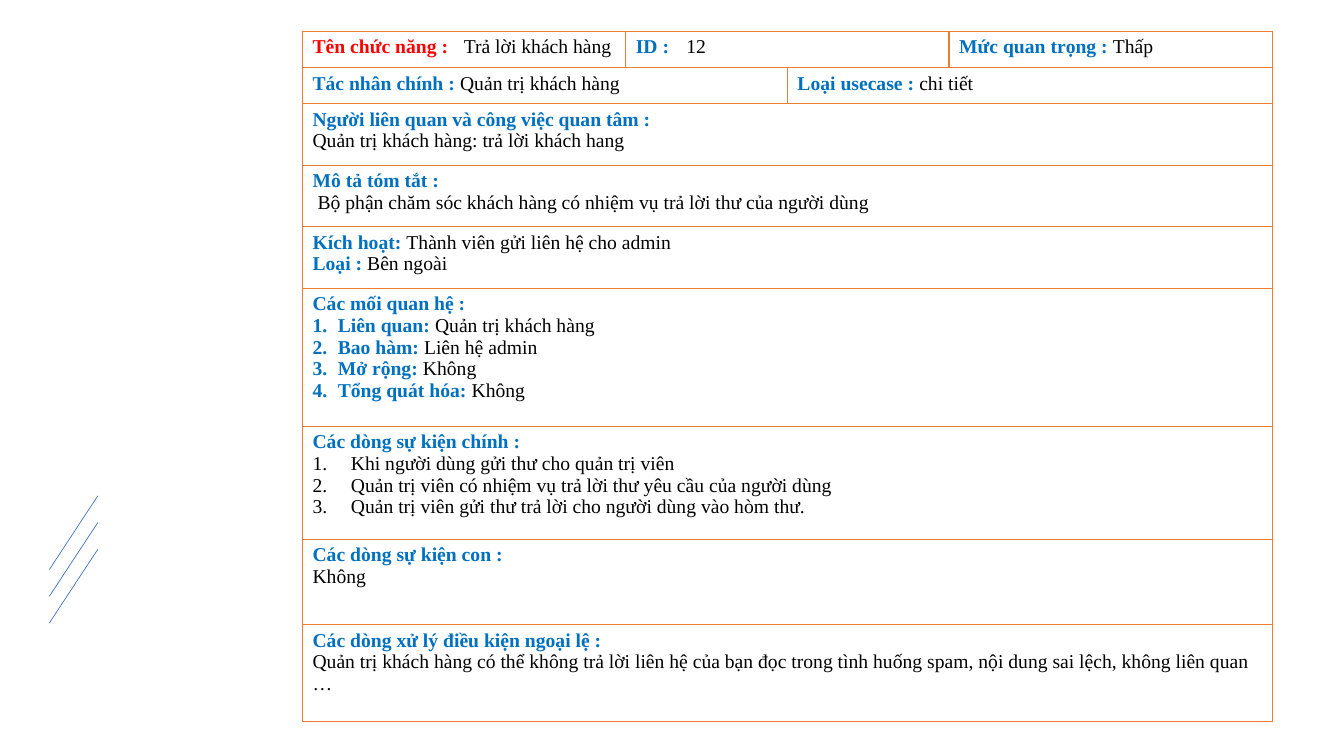
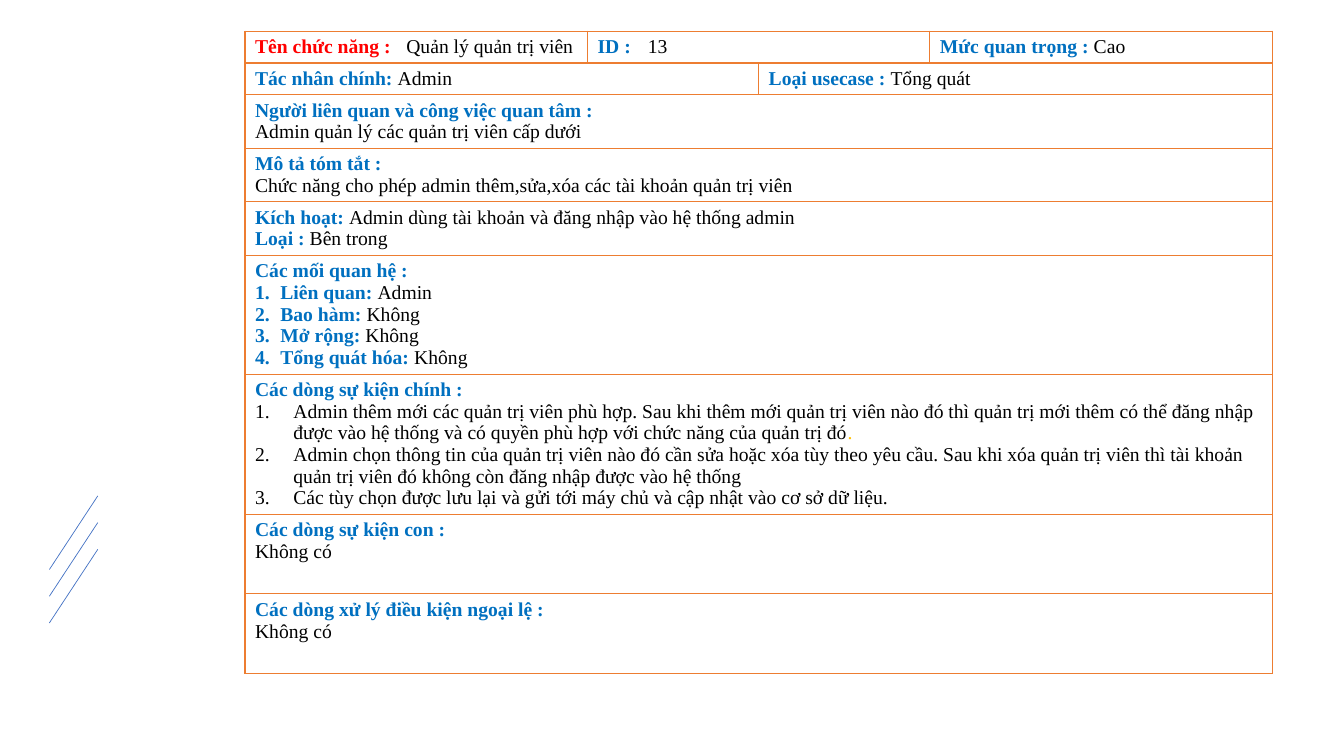
from dataclasses import dataclass

from pptx import Presentation
from pptx.dml.color import RGBColor
from pptx.enum.shapes import MSO_CONNECTOR
from pptx.oxml.ns import qn
from pptx.oxml.xmlchemy import OxmlElement
from pptx.util import Emu, Inches, Pt

STRAIGHT = MSO_CONNECTOR.STRAIGHT


@dataclass(frozen=True)
class Theme:
    title: RGBColor = RGBColor(0xFF, 0x00, 0x00)
    label: RGBColor = RGBColor(0x00, 0x70, 0xC0)
    body: RGBColor = RGBColor(0x00, 0x00, 0x00)
    amber: RGBColor = RGBColor(0xFF, 0xC0, 0x00)
    stripe: RGBColor = RGBColor(0x44, 0x72, 0xC4)
    border: RGBColor = RGBColor(0xED, 0x7D, 0x31)
    font: str = "Times New Roman"
    size: float = 14
    border_width: float = 1
    stripe_width: float = 0.5


THEME = Theme()
SLIDE_W, SLIDE_H = 13.33, 7.5
TABLE_TOP, TABLE_RIGHT = 0.31, 12.62
COLUMN_SHARES = (2, 1, 1, 2)
STRIPE_COUNT, STRIPE_GAP = 3, 0.265
RELATION_INDENT, STEP_INDENT = 0.25, 0.38
TITLE_TAB, ID_TAB = 1.5, 0.43


@dataclass(frozen=True)
class Run:
    text: str
    color: RGBColor = THEME.body
    bold: bool = False


@dataclass(frozen=True)
class Para:
    runs: tuple[Run, ...]
    number_indent: float = 0
    margin: float = 0
    tab: float = 0


@dataclass(frozen=True)
class Block:
    """Paragraphs in the table columns from first to last, inclusive."""
    paras: tuple[Para, ...]
    first: int = 0
    last: int = 3


@dataclass(frozen=True)
class UseCase:
    left: float
    row_heights: tuple[float, ...]
    name: str
    number: str
    priority: str
    actor_label: str
    actor: str
    kind: str
    interests: str
    summary: str
    trigger: str
    trigger_kind: str
    relations: tuple[str, ...]
    steps: tuple[tuple[Run, ...], ...]
    subflow: str
    exceptions: str
    summary_margin: float = 0


RELATION_LABELS = ("Liên quan: ", "Bao hàm: ", "Mở rộng: ", "Tổng quát hóa: ")

USE_CASES = (
    UseCase(
        left=3, row_heights=(0.36, 0.36, 0.61, 0.61, 0.61, 1.37, 1.12, 0.85, 0.96),
        name="Trả lời khách hàng", number="12", priority="Thấp",
        actor_label="Tác nhân chính : ", actor="Quản trị khách hàng", kind="chi tiết",
        interests="Quản trị khách hàng: trả lời khách hang",
        summary="Bộ phận chăm sóc khách hàng có nhiệm vụ trả lời thư của người dùng",
        summary_margin=0.05,
        trigger="Thành viên gửi liên hệ cho admin", trigger_kind="Bên ngoài",
        relations=("Quản trị khách hàng", "Liên hệ admin", "Không", "Không"),
        steps=(
            (Run("Khi người dùng gửi thư cho quản trị viên"),),
            (Run("Quản trị viên có nhiệm vụ trả lời thư yêu cầu của người dùng"),),
            (Run("Quản trị viên gửi thư trả lời cho người dùng vào hòm thư."),),
        ),
        subflow="Không",
        exceptions="Quản trị khách hàng có thể không trả lời liên hệ của bạn đọc trong "
                   "tình huống spam, nội dung sai lệch, không liên quan …",
    ),
    UseCase(
        left=2.43, row_heights=(0.31, 0.31, 0.53, 0.53, 0.53, 1.18, 1.39, 0.79, 0.79),
        name="Quản lý quản trị viên", number="13", priority="Cao",
        actor_label="Tác nhân chính: ", actor="Admin", kind="Tổng quát",
        interests="Admin quản lý các quản trị viên cấp dưới",
        summary="Chức năng cho phép admin thêm,sửa,xóa các tài khoản quản trị viên",
        trigger="Admin dùng tài khoản và đăng nhập vào hệ thống admin",
        trigger_kind="Bên trong",
        relations=("Admin", "Không", "Không", "Không"),
        steps=(
            (Run("Admin thêm mới các quản trị viên phù hợp. Sau khi thêm mới quản trị "
                 "viên nào đó thì quản trị mới thêm có thể đăng nhập được vào hệ thống "
                 "và có quyền phù hợp với chức năng của quản trị đó"),
             Run(".", THEME.amber)),
            (Run("Admin chọn thông tin của quản trị viên nào đó cần sửa hoặc xóa tùy "
                 "theo yêu cầu. Sau khi xóa quản trị viên thì tài khoản quản trị viên "
                 "đó không còn đăng nhập được vào hệ thống"),),
            (Run("Các tùy chọn được lưu lại và gửi tới máy chủ và cập nhật vào cơ sở "
                 "dữ liệu."),),
        ),
        subflow="Không có", exceptions="Không có",
    ),
)


def labelled(label: str, value: str, color: RGBColor = THEME.label,
             number_indent: float = 0, tab: float = 0) -> Para:
    return Para((Run(label, color, True), Run(value)), number_indent, tab=tab)


def section(heading: str, *paras: Para) -> tuple[Block, ...]:
    """A full-width row with a heading above its paragraphs."""
    return (Block((Para((Run(heading, THEME.label, True),)), *paras)),)


def table_rows(case: UseCase) -> list[tuple[Block, ...]]:
    relations = (labelled(label, value, number_indent=RELATION_INDENT)
                 for label, value in zip(RELATION_LABELS, case.relations))
    steps = (Para(runs, STEP_INDENT) for runs in case.steps)
    return [
        (Block((labelled("Tên chức năng :\t", case.name, THEME.title, tab=TITLE_TAB),), 0, 0),
         Block((labelled("ID :\t", case.number, tab=ID_TAB),), 1, 2),
         Block((labelled("Mức quan trọng : ", case.priority),), 3, 3)),
        (Block((labelled(case.actor_label, case.actor),), 0, 1),
         Block((labelled("Loại usecase : ", case.kind),), 2, 3)),
        section("Người liên quan và công việc quan tâm :", Para((Run(case.interests),))),
        section("Mô tả tóm tắt :",
                Para((Run(case.summary),), margin=case.summary_margin)),
        (Block((labelled("Kích hoạt: ", case.trigger),
                labelled("Loại : ", case.trigger_kind))),),
        section("Các mối quan hệ :", *relations),
        section("Các dòng sự kiện chính :", *steps),
        section("Các dòng sự kiện con :", Para((Run(case.subflow),))),
        section("Các dòng xử lý điều kiện ngoại lệ :", Para((Run(case.exceptions),))),
    ]


def add_child(parent, tag: str, **attributes: str):
    child = OxmlElement(tag)
    for name, value in attributes.items():
        child.set(name, value)
    parent.append(child)
    return child


def format_paragraph(p, para: Para) -> None:
    """Set the indent, automatic number and tab stop."""
    pPr = p._p.get_or_add_pPr()
    pPr.set("marL", str(Inches(para.number_indent or para.margin)))
    pPr.set("indent", str(-Inches(para.number_indent)))
    if para.number_indent:
        add_child(pPr, "a:buFont", typeface="+mj-lt")
        add_child(pPr, "a:buAutoNum", type="arabicPeriod")
    else:
        add_child(pPr, "a:buNone")
    if para.tab:
        stops = add_child(pPr, "a:tabLst")
        add_child(stops, "a:tab", pos=str(Inches(para.tab)), algn="l")


def write_paragraphs(tf, paras: tuple[Para, ...]) -> None:
    for index, para in enumerate(paras):
        p = tf.add_paragraph() if index else tf.paragraphs[0]
        format_paragraph(p, para)
        for run in para.runs:
            r = p.add_run()
            r.text = run.text
            r.font.name = THEME.font
            r.font.size = Pt(THEME.size)
            r.font.bold = run.bold
            r.font.color.rgb = run.color


def style_cell(cell) -> None:
    """Leave the cell unfilled, with a line on all four sides."""
    tcPr = cell._tc.get_or_add_tcPr()
    for tag in ("a:lnL", "a:lnR", "a:lnT", "a:lnB"):
        line = add_child(tcPr, tag, w=str(Pt(THEME.border_width)))
        add_child(add_child(line, "a:solidFill"), "a:srgbClr", val=str(THEME.border))
    cell.fill.background()


def add_stripes(slide) -> None:
    for index in range(STRIPE_COUNT):
        shift = index * STRIPE_GAP
        line = slide.shapes.add_connector(
            STRAIGHT, Inches(0.49), Inches(5.65 + shift), Inches(0.97), Inches(4.92 + shift))
        line.line.color.rgb = THEME.stripe
        line.line.width = Pt(THEME.stripe_width)
        add_child(line._element.find(qn("p:spPr")), "a:effectLst")


def add_use_case_table(slide, case: UseCase) -> None:
    rows = table_rows(case)
    width = Inches(TABLE_RIGHT - case.left)
    table = slide.shapes.add_table(
        len(rows), len(COLUMN_SHARES), Inches(case.left), Inches(TABLE_TOP),
        width, Inches(sum(case.row_heights))).table
    table.first_row = table.horz_banding = False
    for column, share in zip(table.columns, COLUMN_SHARES):
        column.width = Emu(width * share // sum(COLUMN_SHARES))
    for row, height in zip(table.rows, case.row_heights):
        row.height = Inches(height)
    for cell in table.iter_cells():
        style_cell(cell)
    for index, blocks in enumerate(rows):
        for block in blocks:
            cell = table.cell(index, block.first)
            if block.last > block.first:
                cell.merge(table.cell(index, block.last))
            write_paragraphs(cell.text_frame, block.paras)


def main() -> None:
    prs = Presentation()
    prs.slide_width, prs.slide_height = Inches(SLIDE_W), Inches(SLIDE_H)
    blank = prs.slide_layouts[6]
    for case in USE_CASES:
        slide = prs.slides.add_slide(blank)
        add_stripes(slide)
        add_use_case_table(slide, case)
    prs.save("out.pptx")


if __name__ == "__main__":
    main()
